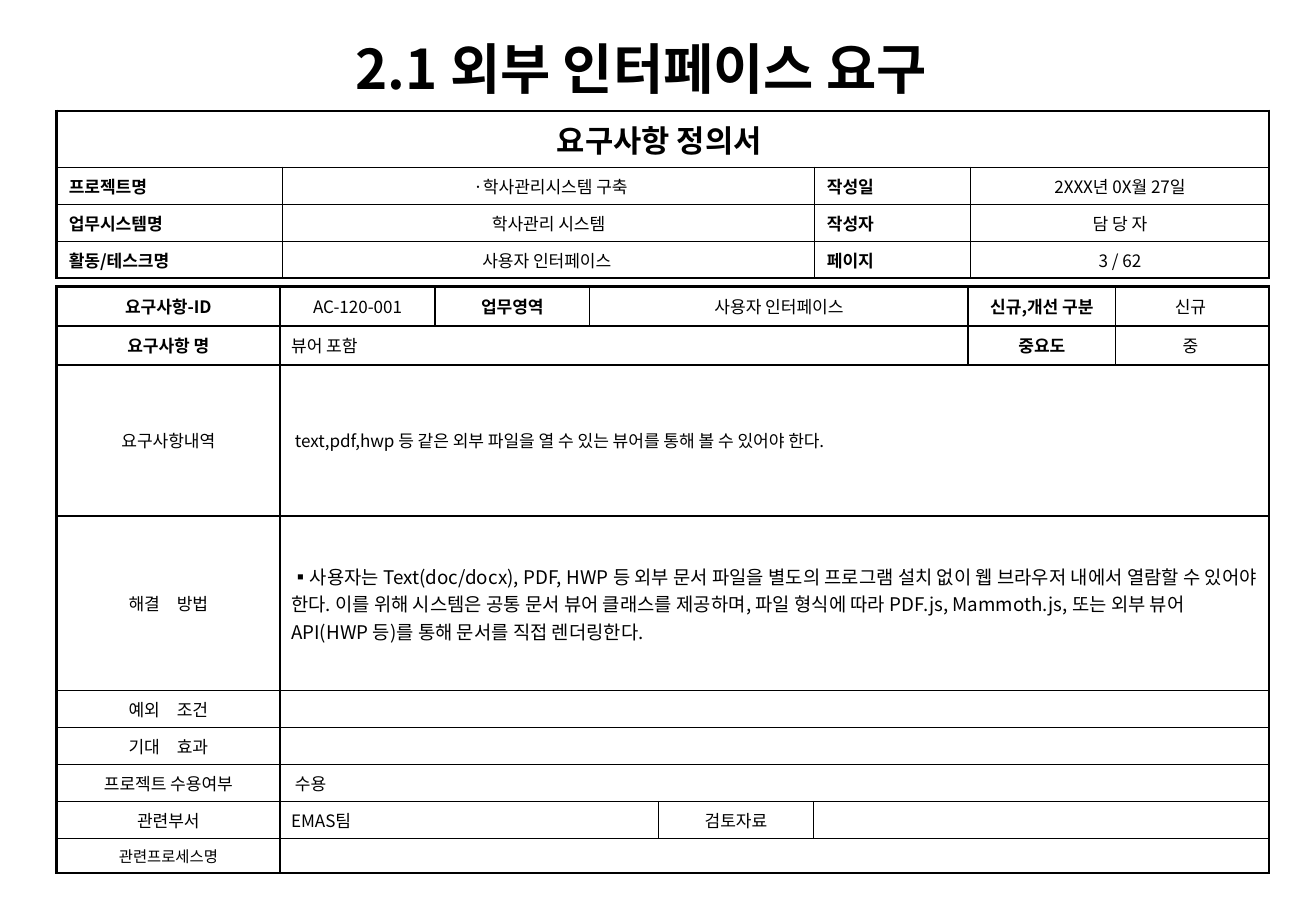
import pptx
import pptx.util
import pptx.dml.color
import pptx.enum.text
import pptx.oxml.ns
from lxml import etree

qn = pptx.oxml.ns.qn
ALIGN = pptx.enum.text.PP_ALIGN
ANCHOR = pptx.enum.text.MSO_ANCHOR

COLORS = {"ink": "000000"}
FONT = "Noto Sans CJK KR"
SLIDE_WIDTH = pptx.util.Inches(10.71)
SLIDE_HEIGHT = pptx.util.Inches(7.5)
UNIT = SLIDE_WIDTH / 1071
THIN, THICK = 1, 1.5

STYLES = {
    "heading": (18, True, ALIGN.CENTER),
    "name": (10, True, ALIGN.JUSTIFY),
    "label": (10, True, ALIGN.CENTER),
    "value": (10, False, ALIGN.CENTER),
    "small": (9, False, ALIGN.CENTER),
    "left": (10, False, ALIGN.LEFT),
    "bullet": (11, False, ALIGN.LEFT),
}

SUMMARY_COLUMNS = [184, 433, 127, 243]
SUMMARY_HEIGHTS = [43, 26, 26, 26]
SUMMARY_ROWS = [
    [("요구사항 정의서 ", "heading", 4)],
    [("프로젝트명", "name", 1), (" ·학사관리시스템 구축", "value", 1),
     ("작성일", "name", 1), ("2XXX년 0X월 27일", "value", 1)],
    [("업무시스템명", "name", 1), ("학사관리 시스템", "value", 1),
     ("작성자", "name", 1), ("담 당 자", "value", 1)],
    [("활동/테스크명", "name", 1), ("사용자 인터페이스 ", "value", 1),
     ("페이지", "name", 1), ("3 / 62", "value", 1)],
]

DETAIL_COLUMNS = [182, 126, 126, 56, 126, 126, 120, 125]
DETAIL_HEIGHTS = [32, 32, 123, 142] + [25] * 5
SOLUTION = (
    "사용자는 Text(doc/docx), PDF, HWP 등 외부 문서 파일을 별도의 프로그램 설치 없이 "
    "웹 브라우저 내에서 열람할 수 있어야 한다. 이를 위해 시스템은 공통 문서 뷰어 클래스를 "
    "제공하며, 파일 형식에 따라 PDF.js, Mammoth.js, 또는 외부 뷰어 API(HWP 등)를 통해 "
    "문서를 직접 렌더링한다."
)
DETAIL_ROWS = [
    [("요구사항-ID", "label", 1), ("AC-120-001", "value", 1),
     ("업무영역", "label", 1), ("사용자 인터페이스", "value", 3),
     ("신규,개선 구분", "label", 1), ("신규 ", "value", 1)],
    [("요구사항 명", "label", 1), ("뷰어 포함", "left", 5),
     ("중요도", "label", 1), ("중 ", "value", 1)],
    [("요구사항내역", "value", 1),
     (" text,pdf,hwp 등 같은 외부 파일을 열 수 있는 뷰어를 통해 볼 수 있어야 한다.", "left", 7)],
    [("해결　방법", "value", 1), (SOLUTION, "bullet", 7)],
    [("예외　조건", "value", 1), ("", "left", 7)],
    [("기대　효과", "value", 1), ("", "left", 7)],
    [("프로젝트 수용여부", "value", 1), (" 수용", "left", 7)],
    [("관련부서", "value", 1), ("EMAS팀", "left", 3),
     ("검토자료", "value", 1), ("", "left", 3)],
    [("관련프로세스명", "small", 1), ("", "left", 7)],
]


def units(count):
    return round(count * UNIT)


def add_span(para, text, size, bold):
    span = para.add_run()
    span.text = text
    span.font.size = pptx.util.Pt(size)
    span.font.bold = bold
    span.font.name = FONT
    span.font.color.rgb = pptx.dml.color.RGBColor.from_string(COLORS["ink"])
    east_asian = etree.SubElement(span.font._element, qn("a:ea"))
    east_asian.set("typeface", FONT)


def add_bullet(para):
    properties = para._p.get_or_add_pPr()
    properties.set("marL", "0")
    properties.set("indent", "0")
    etree.SubElement(properties, qn("a:buFont"), typeface=FONT)
    etree.SubElement(properties, qn("a:buChar"), char="▪")


def draw_borders(cell, borders):
    properties = cell._tc.get_or_add_tcPr()
    for side in "LRTB":
        if side in borders:
            line = etree.SubElement(properties, qn("a:ln" + side))
            line.set("w", str(pptx.util.Pt(borders[side])))
            fill = etree.SubElement(line, qn("a:solidFill"))
            etree.SubElement(fill, qn("a:srgbClr"), val=COLORS["ink"])


def write_cell(cell, text, style):
    size, bold, alignment = STYLES[style]
    cell.vertical_anchor = ANCHOR.MIDDLE
    para = cell.text_frame.paragraphs[0]
    para.alignment = alignment
    if style == "bullet":
        para.line_spacing = 1.0
        add_bullet(para)
    if text:
        add_span(para, text, size, bold)
    else:
        etree.SubElement(para._p, qn("a:endParaRPr"), sz=str(size * 100))


def add_form(page, top, columns, heights, rows, inset, thick_rows):
    frame = page.shapes.add_table(
        len(rows), len(columns), units(46), units(top),
        units(sum(columns)), units(sum(heights)))
    table = frame.table
    table.first_row = False
    table.horz_banding = False
    for column, width in zip(table.columns, columns):
        column.width = units(width)
    for row, height in zip(table.rows, heights):
        row.height = units(height)
    last_row, last_column = len(rows) - 1, len(columns) - 1
    thick_below = {-1, last_row, *thick_rows}
    for row_index, entries in enumerate(rows):
        start = 0
        for text, style, width in entries:
            end = start + width - 1
            for index in range(start, end + 1):
                cell = table.cell(row_index, index)
                cell.margin_left = cell.margin_right = units(inset)
                write_cell(cell, text if index == start else "", style)
                borders = {
                    "T": THICK if row_index - 1 in thick_below else THIN,
                    "B": THICK if row_index in thick_below else THIN,
                }
                if index == start:
                    borders["L"] = THICK if start == 0 else THIN
                if index == end or index == start:
                    borders["R"] = THICK if end == last_column else THIN
                draw_borders(cell, borders)
                cell.fill.background()
            if width > 1:
                table.cell(row_index, start).merge(table.cell(row_index, end))
            start = end + 1


def add_title(page, text):
    title = page.shapes.title
    title.left, title.top = units(170), units(18)
    title.width, title.height = units(704), units(81)
    title.text_frame.auto_size = pptx.enum.text.MSO_AUTO_SIZE.NONE
    title.text_frame.vertical_anchor = ANCHOR.TOP
    para = title.text_frame.paragraphs[0]
    para.alignment = ALIGN.CENTER
    para.line_spacing = 1.1
    add_span(para, text, 32, True)


def main():
    deck = pptx.Presentation()
    deck.slide_width = SLIDE_WIDTH
    deck.slide_height = SLIDE_HEIGHT
    page = deck.slides.add_slide(deck.slide_layouts[5])
    add_title(page, "2.1 외부 인터페이스 요구")
    add_form(page, 90, SUMMARY_COLUMNS, SUMMARY_HEIGHTS, SUMMARY_ROWS, 10, [])
    add_form(page, 233, DETAIL_COLUMNS, DETAIL_HEIGHTS, DETAIL_ROWS, 9, [0, 1])
    deck.save("out.pptx")


if __name__ == "__main__":
    main()
